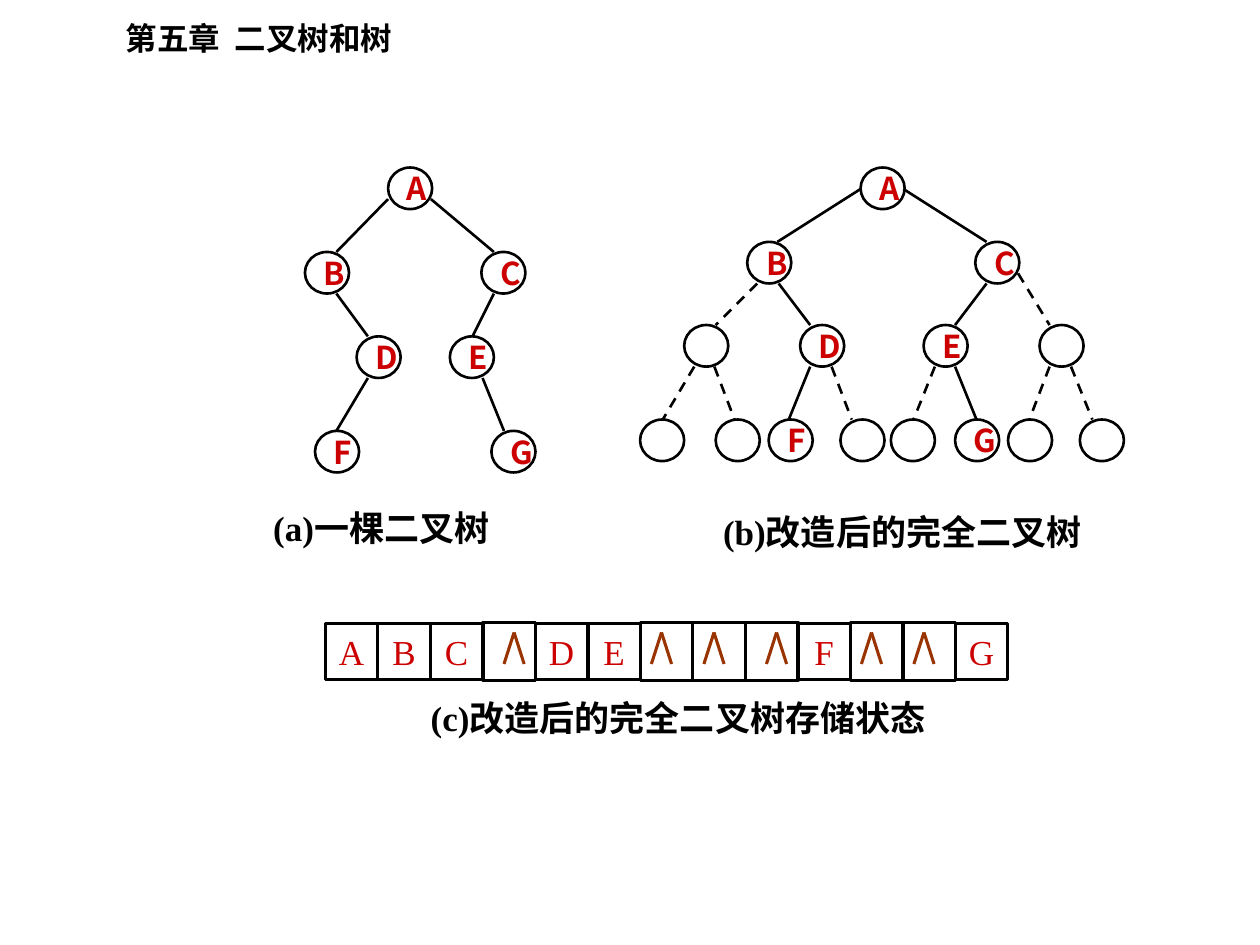
from lxml import etree
from pptx import Presentation
from pptx.dml.color import RGBColor
from pptx.enum import dml, shapes, text
from pptx.oxml.ns import qn
from pptx.util import Inches, Pt

CJK, SERIF = "Noto Sans CJK SC", "Times New Roman"
BLACK, RED, BROWN = "000000", "CC0000", "993300"
NODE_W, NODE_H = 0.35, 0.33


def color(value):
    return RGBColor.from_string(value)


def write(shape, words, size, font, ink, bold, align):
    frame = shape.text_frame
    frame.text = words
    frame.word_wrap = True
    para = frame.paragraphs[0]
    para.alignment = align
    span = para.runs[0]
    span.font.size = Pt(size)
    span.font.bold = bold
    span.font.color.rgb = color(ink)
    span.font.name = font
    etree.SubElement(span.font._element, qn("a:ea")).set("typeface", CJK)


def add_label(page, box, words, size):
    label = page.shapes.add_textbox(*map(Inches, box))
    write(label, words, size, SERIF, BLACK, True, text.PP_ALIGN.LEFT)
    label.text_frame.auto_size = text.MSO_AUTO_SIZE.SHAPE_TO_FIT_TEXT


def add_outline(group, kind, box, width):
    shape = group.shapes.add_shape(kind, *map(Inches, box))
    shape.shadow.inherit = False
    shape.fill.background()
    shape.line.color.rgb = color(BLACK)
    shape.line.width = Pt(width)
    shape.text_frame.vertical_anchor = text.MSO_ANCHOR.MIDDLE
    return shape


def add_line(group, start, end, ink, width, dashed=False):
    line = group.shapes.add_connector(
        shapes.MSO_CONNECTOR.STRAIGHT, *map(Inches, (*start, *end)))
    line.line.color.rgb = color(ink)
    line.line.width = Pt(width)
    if dashed:
        line.line.dash_style = dml.MSO_LINE.DASH
    etree.SubElement(line._element.spPr, qn("a:effectLst"))


def add_tree(page, left, top, level_tops, root_drop, nodes, edges):
    """Nodes are (label, x, level); edges are (level, x1, x2, dashed, lift)."""
    group = page.shapes.add_group_shape()
    for level, x1, x2, dashed, lift in edges:
        drop = NODE_H if level else root_drop
        add_line(group, (left + x1, top + level_tops[level] + drop - lift),
                 (left + x2, top + level_tops[level + 1]), BLACK, 1.5, dashed)
    for label, x, level in nodes:
        box = (left + x, top + level_tops[level], NODE_W, NODE_H)
        node = add_outline(group, shapes.MSO_SHAPE.OVAL, box, 1.5)
        if label:
            write(node, label, 18, CJK, RED, True, text.PP_ALIGN.CENTER)


def add_array(page, left, top, pitch, cells, apexes):
    """Draw a row of cells; a blank cell holds a null mark."""
    group = page.shapes.add_group_shape()
    for index, label in enumerate(cells):
        x = left + index * pitch
        grow = 0 if label.strip() else 0.01
        box = (x, top - grow, 0.42, 0.44 + 2 * grow)
        cell = add_outline(group, shapes.MSO_SHAPE.RECTANGLE, box, 1.75)
        if label.strip():
            write(cell, label, 20, SERIF, RED, False, text.PP_ALIGN.CENTER)
            continue
        apex = x + apexes.get(index, 0.17)
        for side in (0.08, -0.08):
            add_line(group, (apex, top + 0.07), (apex + side, top + 0.32),
                     BROWN, 1.75)


def main():
    deck = Presentation()
    deck.slide_width, deck.slide_height = Inches(10), Inches(7.5)
    page = deck.slides.add_slide(deck.slide_layouts[6])

    # Chapter heading
    add_label(page, (0.9, 0.1, 2.43, 0.4), "第五章  二叉树和树", 18)

    # (a) Binary tree
    add_tree(
        page, 2.42, 1.33, (0, 0.67, 1.34, 2.09), 0.25,
        [("A", 0.66, 0), ("B", 0, 1), ("C", 1.4, 1), ("D", 0.41, 2),
         ("E", 1.15, 2), ("F", 0.08, 3), ("G", 1.48, 3)],
        [(0, 0.66, 0.25, False, 0), (0, 1, 1.5, False, 0),
         (1, 0.25, 0.5, False, 0), (1, 1.5, 1.33, False, 0),
         (2, 0.5, 0.25, False, 0), (2, 1.41, 1.58, False, 0)])
    add_label(page, (2.07, 3.97, 3, 0.44), "(a)一棵二叉树", 20)

    # (b) Completed tree, dashed edges lead to the added nodes
    leaves = zip(("", "", "F", "", "", "G", "", ""),
                 (0, 0.6, 1.02, 1.59, 1.99, 2.5, 2.92, 3.49))
    add_tree(
        page, 5.08, 1.33, (0, 0.59, 1.25, 2), 0.17,
        [("A", 1.75, 0), ("B", 0.85, 1), ("C", 2.66, 1), ("", 0.35, 2),
         ("D", 1.27, 2), ("E", 2.25, 2), ("", 3.17, 2)]
        + [(label, x, 3) for label, x in leaves],
        [(0, 1.75, 1.09, False, 0), (0, 2.09, 2.75, False, 0),
         (1, 0.93, 0.6, True, 0), (1, 1.1, 1.35, False, 0),
         (1, 2.75, 2.5, False, 0), (1, 3, 3.25, True, 0.08),
         (2, 0.43, 0.18, True, 0), (2, 0.59, 0.75, True, 0),
         (2, 1.35, 1.18, False, 0), (2, 1.52, 1.68, True, 0),
         (2, 2.34, 2.17, True, 0), (2, 2.5, 2.67, False, 0),
         (2, 3.25, 3.09, True, 0), (2, 3.42, 3.59, True, 0)])
    add_label(page, (5.64, 4, 3.18, 0.44), "(b)改造后的完全二叉树", 20)

    # (c) Array storage
    add_array(page, 2.58, 4.95, 5 / 12, "ABC DE   F  G", {3: 0.25, 8: 0.25})
    add_label(page, (3.32, 5.48, 4.42, 0.44), "(c)改造后的完全二叉树存储状态", 20)

    deck.save("out.pptx")


if __name__ == "__main__":
    main()
